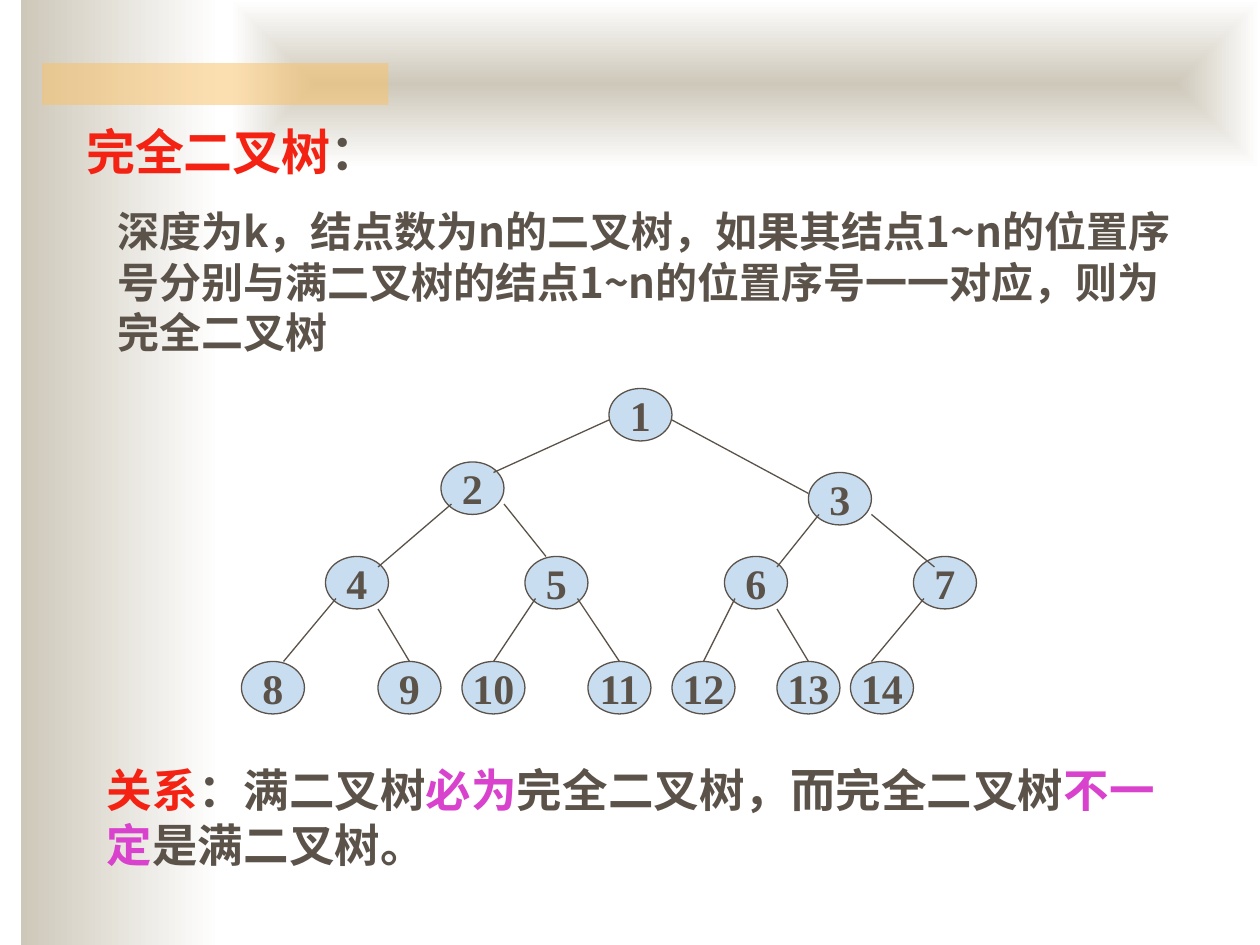
from dataclasses import dataclass
from lxml.etree import SubElement
from pptx import Presentation
from pptx.dml.color import RGBColor as RGB
from pptx.enum.shapes import MSO_CONNECTOR as CONN, MSO_SHAPE as SHAPE
from pptx.enum.text import MSO_ANCHOR as ANCHOR, MSO_AUTO_SIZE as AUTO, PP_ALIGN as ALIGN
from pptx.oxml.ns import qn
from pptx.util import Inches, Pt


@dataclass(frozen=True)
class Theme:
    ink: str = "5B5249"
    red: str = "F42212"
    pink: str = "D842CD"
    node: str = "C9DDF1"
    sand: str = "CEC8BA"
    white: str = "FFFFFF"
    accent: str = "FAC164"
    serif: str = "Times New Roman"
    cjk: str = "Noto Sans CJK SC"
    title: int = 28
    relation: int = 26
    body: int = 24
    line: float = 0.75


T = Theme()
WIDTH, HEIGHT = Inches(10), Inches(7.5)
COLS = 120
UNIT = WIDTH / COLS

TITLE = [("完全二叉树", T.red), ("：", T.ink)]
DEFINITION = [("深度为k，结点数为n的二叉树，如果其结点1~n的位置序号分别与满二叉树的结点1~n的位置序号一一对应，则为完全二叉树", T.ink)]
RELATION = [
    ("关系", T.red), ("：满二叉树", T.ink), ("必为", T.pink),
    ("完全二叉树，而完全二叉树", T.ink), ("不一定", T.pink), ("是满二叉树。", T.ink),
]

SIDE_BAND = (2, 0, 19, 90)
TOP_BAND = (22, 0, 98, 16)
ACCENT_BAR = (4, 6, 33, 4)
TITLE_BOX = (7, 11, 110, 6.8)
DEFINITION_BOX = (10, 19, 104, 15.6)
RELATION_BOX = (9, 72, 106, 11.6)

NODE_SIZE = (6, 5)
NODES = [
    (58, 37),
    (42, 44), (77, 45),
    (31, 53), (50, 53), (69, 53), (87, 53),
    (23, 63), (36, 63), (44, 63), (56, 63), (64, 63), (74, 63), (81, 63),
]
EDGES = [
    (58, 40, 47, 45), (64, 40, 77, 47),
    (43, 48, 36, 54), (48, 48, 52, 53), (78, 49, 74, 54), (83, 49, 89, 54),
    (32, 57, 27, 63), (36, 58, 39, 63), (51, 57, 47, 63), (55, 57, 59, 63),
    (70, 57, 67, 63), (74, 58, 77, 63), (88, 57, 83, 63),
]


def grid(cells):
    return [round(c * UNIT) for c in cells]


def write(tf, runs, size, font=T.serif, align=ALIGN.LEFT):
    p = tf.paragraphs[0]
    p.alignment = align
    for text, color in runs:
        r = p.add_run()
        r.text = text
        f = r.font
        f.name, f.size, f.bold = font, Pt(size), True
        f.color.rgb = RGB.from_string(color)
        SubElement(r._r.get_or_add_rPr(), qn("a:ea"), typeface=T.cjk)


def fill_text_box(sp, runs, size, font=T.serif):
    tf = sp.text_frame
    tf.word_wrap = True
    tf.auto_size = AUTO.SHAPE_TO_FIT_TEXT
    tf.vertical_anchor = ANCHOR.TOP
    write(tf, runs, size, font)


def add_shape(shapes, kind, cells, color=None):
    sp = shapes.add_shape(kind, *grid(cells))
    sp.shadow.inherit = False
    sp.line.fill.background()
    if color:
        sp.fill.solid()
        sp.fill.fore_color.rgb = RGB.from_string(color)
    return sp


def add_gradient_band(shapes, cells, from_centre=False):
    sp = add_shape(shapes, SHAPE.RECTANGLE, cells)
    sp.fill.gradient()
    sp.fill.gradient_angle = 0
    for stop, color, pos in zip(sp.fill.gradient_stops, (T.sand, T.white), (0, 1)):
        stop.color.rgb = RGB.from_string(color)
        stop.position = pos
    if from_centre:
        grad = sp._element.spPr.find(qn("a:gradFill"))
        grad.remove(grad.find(qn("a:lin")))
        path = SubElement(grad, qn("a:path"), path="rect")
        SubElement(path, qn("a:fillToRect"), dict.fromkeys("ltrb", "50000"))


def add_node(shapes, number, corner):
    sp = add_shape(shapes, SHAPE.OVAL, corner + NODE_SIZE, T.node)
    sp.line.color.rgb = RGB.from_string(T.ink)
    sp.line.width = Pt(T.line)
    tf = sp.text_frame
    tf.word_wrap = False
    tf.vertical_anchor = ANCHOR.MIDDLE
    write(tf, [(str(number), T.ink)], T.body, align=ALIGN.CENTER)


def add_edge(shapes, ends):
    line = shapes.add_connector(CONN.STRAIGHT, *grid(ends))
    line.line.color.rgb = RGB.from_string(T.ink)
    line.line.width = Pt(T.line)
    SubElement(line._element.spPr, qn("a:effectLst"))


def main():
    prs = Presentation()
    prs.slide_width, prs.slide_height = WIDTH, HEIGHT
    shapes = prs.slides.add_slide(prs.slide_layouts[5]).shapes

    add_gradient_band(shapes, SIDE_BAND)
    add_gradient_band(shapes, TOP_BAND, from_centre=True)
    bar = add_shape(shapes, SHAPE.RECTANGLE, ACCENT_BAR, T.accent)
    color = bar._element.spPr.find(".//" + qn("a:srgbClr"))
    SubElement(color, qn("a:alpha"), val="50000")

    title = shapes.title
    title.left, title.top, title.width, title.height = grid(TITLE_BOX)
    bar._element.addnext(title._element)
    fill_text_box(title, TITLE, T.title)

    tree = shapes.add_group_shape().shapes
    for number, corner in enumerate(NODES, 1):
        add_node(tree, number, corner)
    for ends in EDGES:
        add_edge(tree, ends)

    fill_text_box(shapes.add_textbox(*grid(RELATION_BOX)), RELATION, T.relation)
    fill_text_box(shapes.add_textbox(*grid(DEFINITION_BOX)), DEFINITION, T.body, T.cjk)
    prs.save("out.pptx")


if __name__ == "__main__":
    main()
